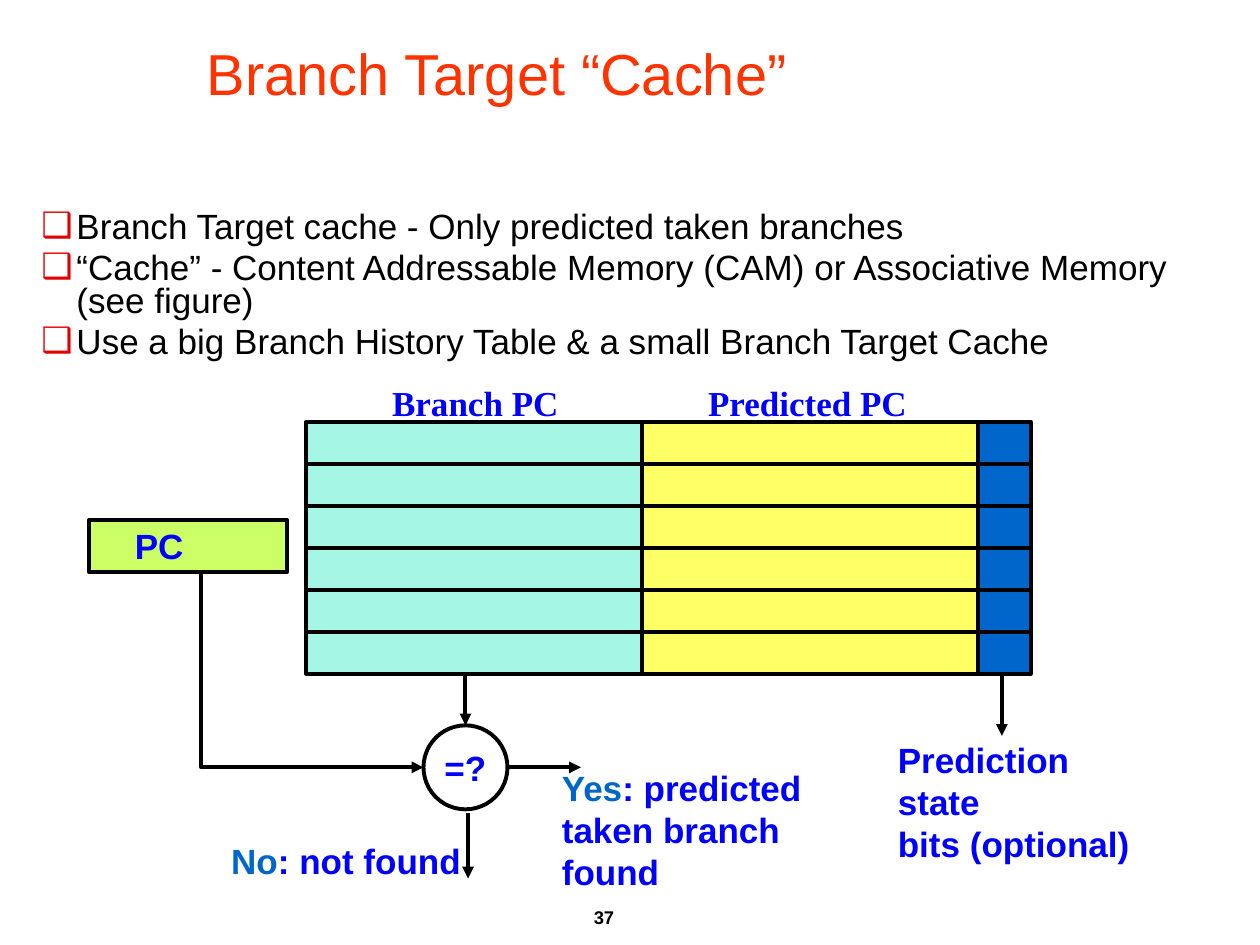
from lxml import etree
from pptx import Presentation
from pptx.dml.color import RGBColor
from pptx.enum.shapes import MSO_CONNECTOR, MSO_SHAPE
from pptx.enum.text import MSO_ANCHOR, MSO_AUTO_SIZE, PP_ALIGN
from pptx.oxml.ns import qn
from pptx.util import Pt

RECT, OVAL = MSO_SHAPE.RECTANGLE, MSO_SHAPE.OVAL
STRAIGHT = MSO_CONNECTOR.STRAIGHT
TOP, MIDDLE = MSO_ANCHOR.TOP, MSO_ANCHOR.MIDDLE
LEFT, CENTER, RIGHT = PP_ALIGN.LEFT, PP_ALIGN.CENTER, PP_ALIGN.RIGHT
NO_FIT = MSO_AUTO_SIZE.NONE

COLORS = {
    "black": "000000", "title": "FF3300", "bullet": "E40000",
    "label": "0000FF", "answer": "0066CC", "pc": "CCFF66",
    "branch": "A6F6E5", "predicted": "FFFF66", "state": "0066CC",
}


def rgb(name):
    """Return the named colour."""
    return RGBColor.from_string(COLORS[name])


def place(shape, box):
    """Move a shape to a box of left, top, width and height in points."""
    shape.left, shape.top, shape.width, shape.height = map(Pt, box)


def add_run(paragraph, text, size=20, color="label", bold=True, font="Arial"):
    """Append one formatted run."""
    run = paragraph.add_run()
    run.text = text
    run.font.size, run.font.bold, run.font.name = Pt(size), bold, font
    run.font.color.rgb = rgb(color)


def add_label(slide, box, lines, anchor=MIDDLE, align=LEFT, wrap=True, **style):
    """Add a text box; each line is a list of (text, colour) runs."""
    label = slide.shapes.add_textbox(*map(Pt, box))
    frame = label.text_frame
    frame.word_wrap, frame.vertical_anchor = wrap, anchor
    for index, runs in enumerate(lines):
        paragraph = frame.add_paragraph() if index else frame.paragraphs[0]
        paragraph.alignment = align
        for text, color in runs:
            add_run(paragraph, text, color=color, **style)


def outline(shape):
    """Give a shape or connector the diagram's black line."""
    shape.line.width = Pt(2.25)
    shape.line.color.rgb = rgb("black")


def add_block(slide, kind, box, fill=None):
    """Add an outlined shape, filled when a colour is named."""
    block = slide.shapes.add_shape(kind, *map(Pt, box))
    block.shadow.inherit = False
    if fill:
        block.fill.solid()
        block.fill.fore_color.rgb = rgb(fill)
    else:
        block.fill.background()
    outline(block)
    return block


def add_arrowhead(shape):
    """Put a triangle at the end of a line."""
    etree.SubElement(shape.line._get_or_add_ln(), qn("a:tailEnd"), type="triangle")


def add_arrow(slide, start, end):
    """Add a straight arrow between two points."""
    arrow = slide.shapes.add_connector(STRAIGHT, *map(Pt, (*start, *end)))
    outline(arrow)
    add_arrowhead(arrow)
    etree.SubElement(arrow._element.spPr, qn("a:effectLst"))


def add_elbow(slide, start, end):
    """Add an arrow that runs down and then across."""
    builder = slide.shapes.build_freeform(Pt(start[0]), Pt(start[1]))
    corner = (start[0], end[1])
    builder.add_line_segments([tuple(map(Pt, p)) for p in (corner, end)], close=False)
    elbow = builder.convert_to_shape()
    elbow.shadow.inherit = False
    elbow.fill.background()
    outline(elbow)
    add_arrowhead(elbow)


def fill_title(slide, box, text):
    """Fill the title placeholder."""
    title = slide.shapes.title
    place(title, box)
    frame = title.text_frame
    frame.auto_size, frame.vertical_anchor = NO_FIT, MIDDLE
    frame.paragraphs[0].alignment = LEFT
    add_run(frame.paragraphs[0], text, 33, "title", False)


def fill_points(slide, box, points):
    """Fill the body placeholder with a bulleted list."""
    body = slide.placeholders[1]
    place(body, box)
    frame = body.text_frame
    frame.auto_size, frame.vertical_anchor = NO_FIT, TOP
    for index, point in enumerate(points):
        paragraph = frame.add_paragraph() if index else frame.paragraphs[0]
        paragraph.line_spacing, paragraph.space_before = 0.8, Pt(4)
        props = paragraph._p.get_or_add_pPr()
        props.set("marL", str(Pt(20)))
        props.set("indent", str(-Pt(20)))
        bullet_color = etree.SubElement(props, qn("a:buClr"))
        etree.SubElement(bullet_color, qn("a:srgbClr"), val=COLORS["bullet"])
        etree.SubElement(props, qn("a:buChar"), char="❑")
        add_run(paragraph, point, 20, "black", False)


def draw_cache(slide, box):
    """Draw the cache rows with column headings and the state-bits output."""
    left, top, width, height = box
    rows, state_width = 6, 30
    entry_width = (width - state_width) / 2
    row_height = height / rows
    columns = [("branch", left, entry_width),
               ("predicted", left + entry_width, entry_width),
               ("state", left + 2 * entry_width, state_width)]
    for row in range(rows):
        for fill, x, column_width in columns:
            add_block(slide, RECT, (x, top + row * row_height, column_width, row_height), fill)
    for text, offset, heading_width in (("Branch PC", 42, 111), ("Predicted PC", 222.5, 129)):
        add_label(slide, (left + offset, top - 27, heading_width, 31.5),
                  [[(text, "label")]], wrap=False, font="Times New Roman")
    bottom, state_x = top + height, left + 397.5
    add_arrow(slide, (state_x, bottom), (state_x, bottom + 35.5))
    add_label(slide, (left + 331, bottom + 45.5, 149, 55.5),
              [[("Prediction state", "label")], [("bits (optional)", "label")]])


def draw_lookup(slide, box, cache_bottom):
    """Draw the PC register, the comparator and both outcomes."""
    left, top, width, height = box
    size = 48
    center_x, center_y = left + 215, top + 141.5
    radius = size / 2
    add_block(slide, RECT, (left, top, 113, 30), "pc")
    add_label(slide, (left + 19, top - 1, 72, 31.5), [[("PC", "label")]])
    comparator = add_block(slide, OVAL, (center_x - radius, center_y - radius, size, size))
    frame = comparator.text_frame
    frame.word_wrap, frame.vertical_anchor = False, MIDDLE
    frame.paragraphs[0].alignment = CENTER
    add_run(frame.paragraphs[0], "=?")
    add_arrow(slide, (center_x, cache_bottom), (center_x, center_y - radius))
    add_elbow(slide, (left + 64, top + 30), (center_x - radius, center_y))
    add_arrow(slide, (center_x + radius, center_y), (center_x + 66, center_y))
    add_arrow(slide, (center_x + 1.5, center_y + 26), (center_x + 1.5, top + height))
    add_label(slide, (left + width - 185, center_y + 7.5, 185, 55.5),
              [[("Yes", "answer"), (": predicted taken branch found", "label")]])
    add_label(slide, (left + 74, center_y + 37.5, 156, 31.5),
              [[("No", "answer"), (": not found", "label")]])


def draw_page_number(slide, box, number):
    """Write the page number at the foot."""
    add_label(slide, box, [[(number, "black")]], anchor=TOP, align=RIGHT, size=10.5)


def main():
    """Build and save the slide."""
    deck = Presentation()
    deck.slide_width, deck.slide_height = Pt(720), Pt(540)
    slide = deck.slides.add_slide(deck.slide_layouts[1])
    draw_page_number(slide, (208, 514, 150, 36), "37")
    fill_title(slide, (111, 20, 614, 42.5), "Branch Target “Cache”")
    fill_points(slide, (16.5, 118, 664.5, 112.5), [
        "Branch Target cache - Only predicted taken branches",
        "“Cache” - Content Addressable Memory (CAM) or Associative Memory (see figure)",
        "Use a big Branch History Table & a small Branch Target Cache",
    ])
    draw_cache(slide, (175, 241, 414, 144))
    draw_lookup(slide, (51, 297, 448, 205), 385)
    deck.save("out.pptx")


if __name__ == "__main__":
    main()
